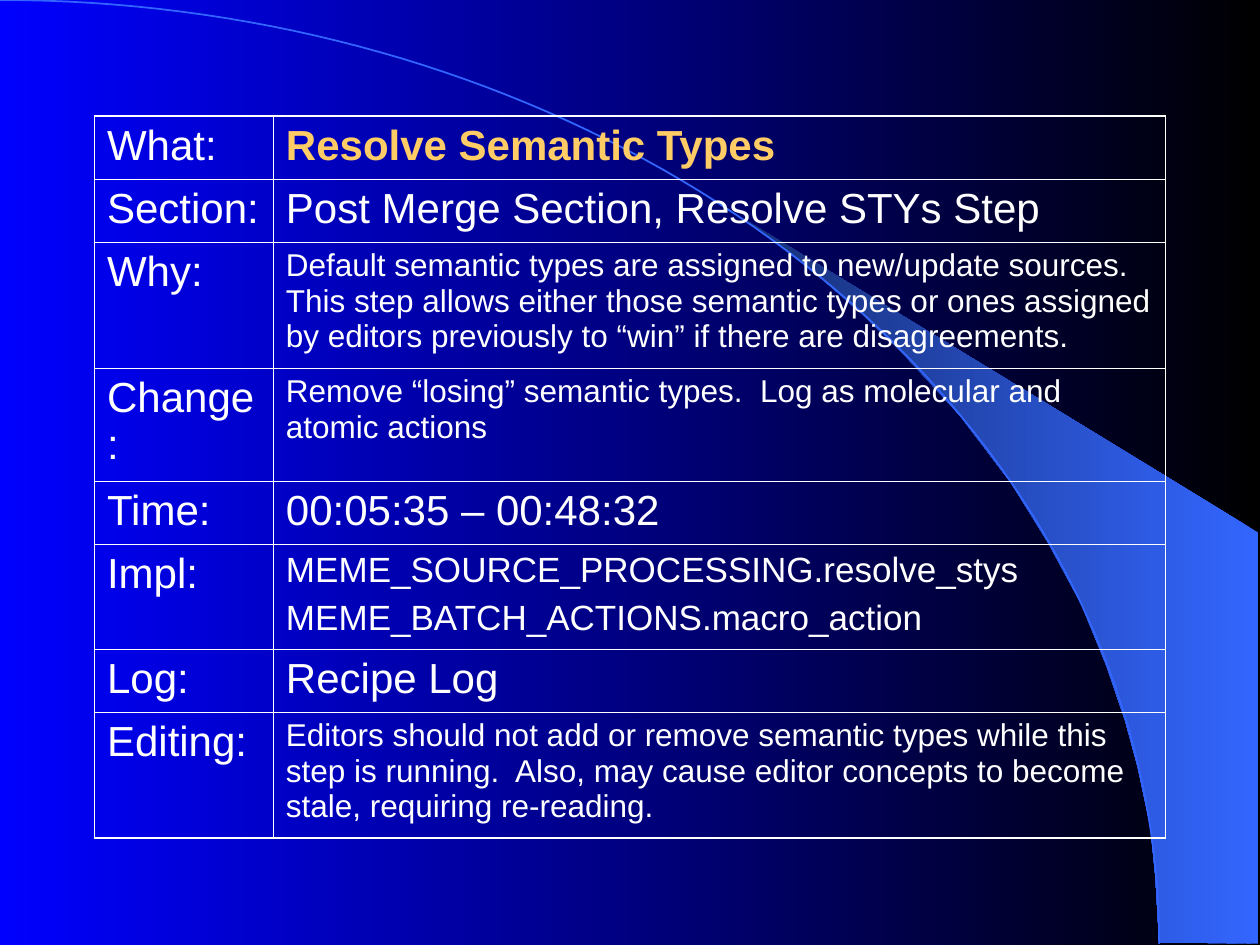
from math import cos, pi, sin
from lxml import etree
from pptx import Presentation
from pptx.dml.color import RGBColor
from pptx.oxml.ns import qn
from pptx.util import Inches, Pt

ROWS = [  # label, paragraphs, text size, row height
    ("What:", ["Resolve Semantic Types"], 24, 0.5),
    ("Section:", ["Post Merge Section, Resolve STYs Step"], 24, 0.5),
    ("Why:", ["Default semantic types are assigned to new/update sources.  "
              "This step allows either those semantic types or ones assigned "
              "by editors previously to “win” if there are disagreements."], 18, 1),
    ("Change :", ["Remove “losing” semantic types.  Log as molecular and "
                  "atomic actions"], 18, 0.9),
    ("Time:", ["00:05:35 – 00:48:32"], 24, 0.5),
    ("Impl:", ["MEME_SOURCE_PROCESSING.resolve_stys",
               "MEME_BATCH_ACTIONS.macro_action"], 20, 0.83),
    ("Log:", ["Recipe Log"], 24, 0.5),
    ("Editing:", ["Editors should not add or remove semantic types while this "
                  "step is running.  Also, may cause editor concepts to become "
                  "stale, requiring re-reading."], 18, 1),
]
COLS = [1.42, 7.08]
LEFT, TOP = 0.75, 0.92
BEAM = [(9.2, 7.48), (9.99, 7.49), (9.99, 4.23), (5.89, 1.73), (6.24, 1.99),
        (6.53, 2.22), (6.85, 2.5), (7.16, 2.8), (7.62, 3.3), (8.03, 3.84),
        (8.32, 4.31), (8.58, 4.79), (8.78, 5.28), (8.93, 5.72), (9.03, 6.09),
        (9.13, 6.56), (9.17, 6.96)]
ARC_W, ARC_H, STEPS = 9.2, 7.49, 80
THEME = {
    "font": "Arial", "label": 24, "text": "FFFFFF", "title": "FFCC66",
    "back": ("000000", "0000FF"), "beam": ("3366FF", "172F75"),
    "arc": "3366FF", "inner": 0.45, "outer": 1.08,
}


def rgb(name):
    return RGBColor.from_string(THEME[name])


def shade(fill, pair):
    """Blend from the first colour at the right to the second at the left."""
    fill.gradient()
    fill.gradient_angle = 180
    for stop, color in zip(fill.gradient_stops, pair):
        stop.color.rgb = RGBColor.from_string(color)


def draw(slide, points, close):
    spots = [(Inches(x), Inches(y)) for x, y in points]
    pen = slide.shapes.build_freeform(*spots[0], scale=1.0)
    pen.add_line_segments(spots[1:], close=close)
    shape = pen.convert_to_shape()
    shape.shadow.inherit = False
    return shape


def add_curves(slide):
    beam = draw(slide, BEAM, True)
    shade(beam.fill, THEME["beam"])
    beam.line.fill.background()
    turns = [pi / 2 * i / STEPS for i in range(STEPS + 1)]
    arc = draw(slide, [(ARC_W * sin(t), ARC_H * (1 - cos(t))) for t in turns], False)
    arc.fill.background()
    arc.line.color.rgb = rgb("arc")
    arc.line.width = Pt(1)


def set_edges(cell, row, col):
    """Rule all four sides, heavier along the rim of the table."""
    rims = {"L": col == 0, "R": col == len(COLS) - 1,
            "T": row == 0, "B": row == len(ROWS) - 1}
    props = cell._tc.get_or_add_tcPr()
    for side, rim in rims.items():
        width = Pt(THEME["outer" if rim else "inner"])
        line = etree.SubElement(props, qn("a:ln" + side), w=str(width))
        fill = etree.SubElement(line, qn("a:solidFill"))
        etree.SubElement(fill, qn("a:srgbClr"), val=THEME["text"])


def set_text(cell, lines, size, title):
    frame = cell.text_frame
    frame.text = "\n".join(lines)
    for i, para in enumerate(frame.paragraphs):
        if i:
            para.space_before = Pt(size / 4)
        font = para.font
        font.name, font.size, font.bold = THEME["font"], Pt(size), title
        font.color.rgb = rgb("title" if title else "text")


def add_grid(slide):
    high = sum(row[-1] for row in ROWS)
    table = slide.shapes.add_table(
        len(ROWS), len(COLS), Inches(LEFT), Inches(TOP),
        Inches(sum(COLS)), Inches(high)).table
    table.first_row = table.horz_banding = False
    for col, width in zip(table.columns, COLS):
        col.width = Inches(width)
    for r, (label, lines, size, height) in enumerate(ROWS):
        table.rows[r].height = Inches(height)
        parts = [([label], THEME["label"], False), (lines, size, r == 0)]
        for c, part in enumerate(parts):
            cell = table.cell(r, c)
            set_edges(cell, r, c)
            cell.fill.background()
            set_text(cell, *part)


def main():
    deck = Presentation()
    deck.slide_width, deck.slide_height = Inches(10), Inches(7.5)
    slide = deck.slides.add_slide(deck.slide_layouts[6])
    shade(slide.background.fill, THEME["back"])
    add_curves(slide)
    add_grid(slide)
    deck.save("out.pptx")


if __name__ == "__main__":
    main()
